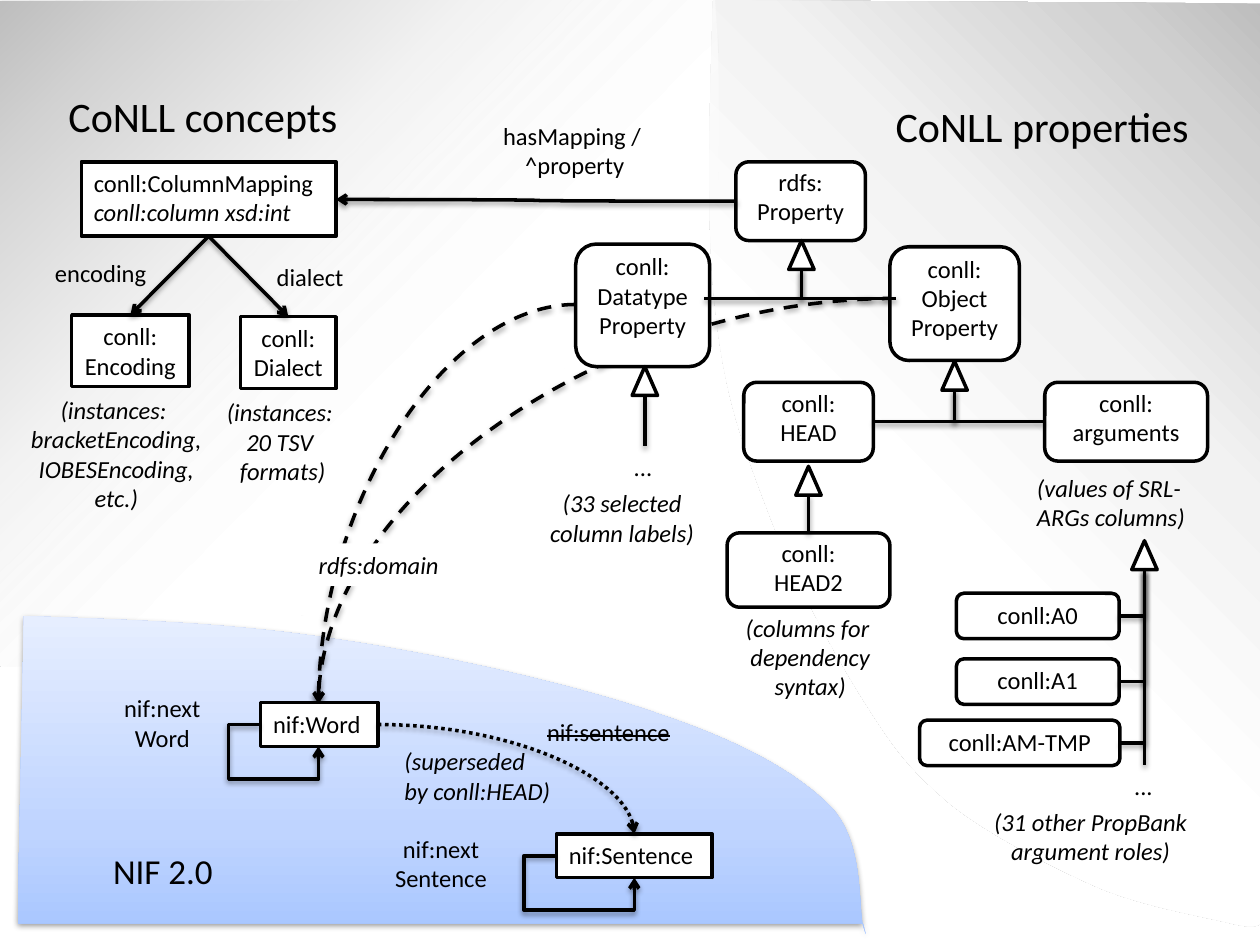
"""Build the slide relating CoNLL concepts and properties to NIF 2.0."""
from lxml.etree import SubElement
from pptx import Presentation
from pptx.dml.color import RGBColor
from pptx.enum.dml import MSO_LINE
from pptx.enum.shapes import MSO_CONNECTOR, MSO_SHAPE
from pptx.enum.text import MSO_ANCHOR, MSO_AUTO_SIZE, PP_ALIGN
from pptx.oxml.ns import qn
from pptx.util import Pt

FONT = "Calibri"
COLORS = {"ink": "000000", "paper": "FFFFFF", "gray": "BDBDBD", "silver": "D1D1D1",
          "mist": "F2F2F2", "blue": "A4C4FF", "sky": "BFD4FF", "ice": "E6EEFF"}
GRAY_STOPS = [(0, "gray", 100), (11, "silver", 100), (34, "mist", 100)]
RIGHT_STOPS = GRAY_STOPS + [(57, "paper", 100)]
LEFT_STOPS = GRAY_STOPS + [(55, "paper", 50), (67, "paper", 0)]
BLUE_STOPS = [(0, "blue", 100), (35, "sky", 100), (100, "ice", 100)]
LEFT, CENTER = PP_ALIGN.LEFT, PP_ALIGN.CENTER

AREAS = [
    dict(start=(407.5, 0), stops=RIGHT_STOPS, angle=225, shadow=False, curves=[
        ((405.4, 64), (403.2, 129), (409, 178)),
        ((414, 227), (425.5, 257), (440, 295)),
        ((454.3, 332.6), (478, 376), (495.4, 403.2)),
        ((512.6, 430.6), (522, 441.4), (543, 459.4)),
        ((564.5, 476.6), (602, 496), (628.6, 507.6)),
        ((655, 518.4), (689, 524), (704, 527.8)),
        ((719, 531.4), (720, 527.8), (720, 527.8))], corner=(720, 2)),
    dict(start=(407.5, 0), stops=LEFT_STOPS, angle=315, shadow=False, curves=[
        ((410.4, 46), (412.6, 93), (405.4, 128)),
        ((399, 163.4), (384.5, 185), (365.8, 211.7)),
        ((347, 239), (315.4, 270), (292.3, 289.4)),
        ((270, 309.6), (260, 317.5), (231, 330.5)),
        ((202.3, 342.7), (154, 357), (118.8, 365)),
        ((84.2, 373), (40.3, 377.3), (20.9, 379.4)),
        ((0.7, 382.3), (0, 379.4), (0, 379.4))], corner=(0, 1)),
    dict(start=(13.7, 352), stops=BLUE_STOPS, angle=90, shadow=True, curves=[
        ((72, 354.2), (130.3, 355.7), (190, 365)),
        ((250.6, 373.7), (327.6, 391), (375, 407.5)),
        ((422.6, 423.4), (454.3, 440.6), (474.5, 460.8)),
        ((494, 481), (490.3, 518.4), (493.2, 529.2)),
        ((496.8, 540.7), (493.2, 527.8), (493.2, 527.8))], corner=(10, 527.8)),
]

DOMAIN_CURVES = [((329, 174), (182, 402)), ((512, 170.5), (182, 402))]

BOXES = {
    "Word": (["nif:Word"], (149, 401.5, 67, 25), LEFT, None),
    "Sentence": (["nif:Sentence"], (318, 476.5, 89, 25), LEFT, None),
    "Mapping": (["conll:ColumnMapping", "conll:column xsd:int"], (46.5, 92.5, 145.5, 42.5), LEFT, 1),
    "Dialect": (["conll:", "Dialect"], (137.5, 181, 54.5, 41), CENTER, None),
    "Encoding": (["conll:", "Encoding"], (41, 180, 67, 41), CENTER, None),
}

PROPERTIES = {
    "Property": (["rdfs:", "Property"], (420.5, 92.5, 74, 45)),
    "Datatype": (["conll:", "Datatype", "Property"], (329, 139.5, 76.5, 70)),
    "Object": (["conll:", "Object", "Property"], (508.5, 141, 74, 65)),
    "HEAD": (["conll:", "HEAD"], (425, 218.5, 74, 45)),
    "arguments": (["conll:", "arguments"], (597, 218.5, 93, 45)),
    "HEAD2": (["conll:", "HEAD2"], (415.5, 304.5, 93, 42.5)),
    "A0": (["conll:A0"], (546.5, 339, 93, 26)),
    "A1": (["conll:A1"], (546.5, 376.5, 93, 26)),
    "AM-TMP": (["conll:AM-TMP"], (525.5, 411.5, 114.5, 26)),
}

TRIANGLE_WIDTH, TRIANGLE_HEIGHT = 14.5, 16.5
HIERARCHY = [
    dict(tip=(458, 137.5), branches=[(402.5, 170.5), (512, 170.5)]),
    dict(tip=(545.5, 206.5), branches=[(499, 241), (597, 241)]),
    dict(tip=(654, 309), branches=[(639.5, 352), (639.5, 389.5), (640, 424.5)], stem=437),
    dict(tip=(368.5, 209.5), stem=255),
    dict(tip=(462, 266.5), stem=304.5, child="HEAD2"),
]

SELF_LOOPS = [((318, 489), (362.5, 501.5), (-0.417, 2.486)),
              ((149, 414), (182, 426.5), (-0.554, 2.486))]

LABELS = [
    (["nif:next", "Sentence"], (217, 473, 70), {}),
    (["nif:next", "Word"], (62.5, 392.5, 60.5), {}),
    (["(31 other PropBank", "argument roles)"], (558.5, 457.5, 129.5), dict(italic_from=0)),
    (["(33 selected", "column labels)"], (305, 275.5, 101), dict(italic_from=0)),
    (["(values of SRL-", "ARGs columns)"], (585.5, 266.5, 103), dict(italic_from=0, align=LEFT)),
    (["(columns for ", "dependency", "syntax)"], (415.5, 346.5, 95), dict(italic_from=0)),
    (["dialect"], (151, 146, 53.5), dict(align=LEFT)),
    (["encoding"], (24, 144, 67), {}),
    (["..."], (355, 255, 26), dict(align=LEFT)),
    (["..."], (641, 437, 26), dict(align=LEFT)),
    (["hasMapping / ", "^property"], (278.5, 65.5, 100), {}),
    (["(instances: ", "20 TSV ", "formats)"], (122, 223.5, 79), dict(italic_from=0)),
    (["(instances: ", "bracketEncoding,", "IOBESEncoding,", "etc.)"], (10, 222, 113),
     dict(italic_from=0)),
    (["rdfs:domain"], (175, 310.5, 86.5), dict(italic_from=0, fill="paper", align=LEFT)),
    (["NIF 2.0"], (57.5, 482, 74), dict(size=20, align=LEFT)),
    (["CoNLL properties"], (471, 54, 249), dict(size=24, wrap=True)),
    (["CoNLL concepts"], (32, 48, 280), dict(size=24, align=LEFT, wrap=True)),
    (["nif:sentence", "(superseded", "by conll:HEAD)"], (224, 406, 173),
     dict(italic_from=1, align=LEFT, wrap=True, struck_indent=81.5)),
]


def color(name):
    return RGBColor.from_string(COLORS[name])


def add_shadow(properties):
    effects = SubElement(properties, qn("a:effectLst"))
    shadow = SubElement(effects, qn("a:outerShdw"), blurRad=str(Pt(3.1)), dist=str(Pt(1.6)),
                        dir="5400000", rotWithShape="0")
    tint = SubElement(shadow, qn("a:srgbClr"), val=COLORS["ink"])
    SubElement(tint, qn("a:alpha"), val="38000")


def add_area(shapes, start, curves, corner, stops, angle, shadow):
    points = [point for curve in curves for point in curve] + [corner]
    builder = shapes.build_freeform(Pt(start[0]), Pt(start[1]))
    builder.add_line_segments([(Pt(x), Pt(y)) for x, y in points], close=True)
    shape = builder.convert_to_shape()
    properties = shape._element.spPr
    segments = properties.findall(".//" + qn("a:lnTo"))
    for first in range(0, 3 * len(curves), 3):
        curve = segments[first]
        curve.tag = qn("a:cubicBezTo")
        for segment in segments[first + 1:first + 3]:
            curve.append(segment[0])
            segment.getparent().remove(segment)
    shape.fill.gradient()
    shape.fill.gradient_angle = angle
    stop_list = properties.find(".//" + qn("a:gsLst"))
    for stop in list(stop_list):
        stop_list.remove(stop)
    for position, name, opacity in stops:
        stop = SubElement(stop_list, qn("a:gs"), pos=str(position * 1000))
        tint = SubElement(stop, qn("a:srgbClr"), val=COLORS[name])
        if opacity < 100:
            SubElement(tint, qn("a:alpha"), val=str(opacity * 1000))
    shape.line.fill.background()
    if shadow:
        add_shadow(properties)
    else:
        shape.shadow.inherit = False


def add_outline(shapes, kind, x, y, width, height):
    shape = shapes.add_shape(kind, Pt(x), Pt(y), Pt(width), Pt(height))
    shape.shadow.inherit = False
    shape.fill.solid()
    shape.fill.fore_color.rgb = color("paper")
    shape.line.color.rgb = color("ink")
    shape.line.width = Pt(2)
    return shape


def write_text(shape, lines, size=14, align=CENTER, italic_from=None, wrap=False,
               fit=True, margin_top=3.6, struck_indent=None):
    frame = shape.text_frame
    frame.word_wrap = wrap
    frame.auto_size = MSO_AUTO_SIZE.SHAPE_TO_FIT_TEXT if fit else MSO_AUTO_SIZE.NONE
    frame.vertical_anchor = MSO_ANCHOR.TOP
    frame.margin_top = Pt(margin_top)
    for index, line in enumerate(lines):
        paragraph = frame.add_paragraph() if index else frame.paragraphs[0]
        paragraph.alignment = align
        run = paragraph.add_run()
        run.text = line
        run.font.name, run.font.size = FONT, Pt(size)
        run.font.color.rgb = color("ink")
        run.font.italic = italic_from is not None and index >= italic_from
        if struck_indent and index == 0:
            paragraph._p.get_or_add_pPr().set("marL", str(Pt(struck_indent)))
            run._r.get_or_add_rPr().set("strike", "sngStrike")


def add_label(shapes, lines, x, y, width, fill=None, size=14, **text_format):
    height = len(lines) * size * 1.22 + 7.2
    shape = shapes.add_textbox(Pt(x), Pt(y), Pt(width), Pt(height))
    if fill:
        shape.fill.solid()
        shape.fill.fore_color.rgb = color(fill)
    write_text(shape, lines, size=size, **text_format)


def add_link(shapes, start, end, kind=MSO_CONNECTOR.STRAIGHT, preset=None, adjustments=(),
             dash=None, arrow=False):
    connector = shapes.add_connector(kind, *(Pt(value) for value in (*start, *end)))
    connector.line.color.rgb = color("ink")
    connector.line.width = Pt(2)
    if dash:
        connector.line.dash_style = dash
    properties = connector._element.spPr
    if arrow:
        SubElement(properties.find(qn("a:ln")), qn("a:tailEnd"), type="arrow")
    geometry = properties.find(qn("a:prstGeom"))
    if preset:
        geometry.set("prst", preset)
    for index, value in enumerate(adjustments, 1):
        SubElement(geometry.find(qn("a:avLst")), qn("a:gd"), name=f"adj{index}",
                   fmla=f"val {round(value * 100000)}")
    add_shadow(properties)
    return connector


def main():
    presentation = Presentation()
    presentation.slide_width, presentation.slide_height = Pt(720), Pt(540)
    shapes = presentation.slides.add_slide(presentation.slide_layouts[6]).shapes
    for area in AREAS:
        add_area(shapes, **area)
    curve = dict(kind=MSO_CONNECTOR.CURVE, arrow=True)
    for start, end in DOMAIN_CURVES:
        add_link(shapes, start, end, preset="curvedConnector2", dash=MSO_LINE.DASH, **curve)
    nodes = {}
    for name, (lines, bounds, align, italic_from) in BOXES.items():
        nodes[name] = add_outline(shapes, MSO_SHAPE.RECTANGLE, *bounds)
        write_text(nodes[name], lines, align=align, italic_from=italic_from)
    for name, (lines, bounds) in PROPERTIES.items():
        nodes[name] = add_outline(shapes, MSO_SHAPE.ROUNDED_RECTANGLE, *bounds)
        write_text(nodes[name], lines, fit=False, margin_top=2.5 if len(lines) == 1 else 0.8)
    for group in HIERARCHY:
        x, y = group["tip"]
        base = (x, y + TRIANGLE_HEIGHT)
        add_outline(shapes, MSO_SHAPE.ISOSCELES_TRIANGLE, x - TRIANGLE_WIDTH / 2, y,
                    TRIANGLE_WIDTH, TRIANGLE_HEIGHT)
        for start in group.get("branches", []):
            add_link(shapes, start, base, MSO_CONNECTOR.ELBOW, "bentConnector2")
        if "stem" in group:
            stem = add_link(shapes, base, (x, group["stem"]))
            if "child" in group:
                stem.end_connect(nodes[group["child"]], 0)
    for start, end, adjustments in SELF_LOOPS:
        add_link(shapes, start, end, MSO_CONNECTOR.ELBOW, "bentConnector4", adjustments, arrow=True)
    for target in ("Encoding", "Dialect"):
        link = add_link(shapes, (119, 135), (119, 180), arrow=True)
        link.begin_connect(nodes["Mapping"], 2)
        link.end_connect(nodes[target], 0)
    add_link(shapes, (420.5, 115), (192, 114), **curve)
    for lines, place, text_format in LABELS:
        add_label(shapes, lines, *place, **text_format)
    add_link(shapes, (216, 414), (362.5, 476.5), preset="curvedConnector2",
             dash=MSO_LINE.ROUND_DOT, **curve)
    presentation.save("out.pptx")


if __name__ == "__main__":
    main()
